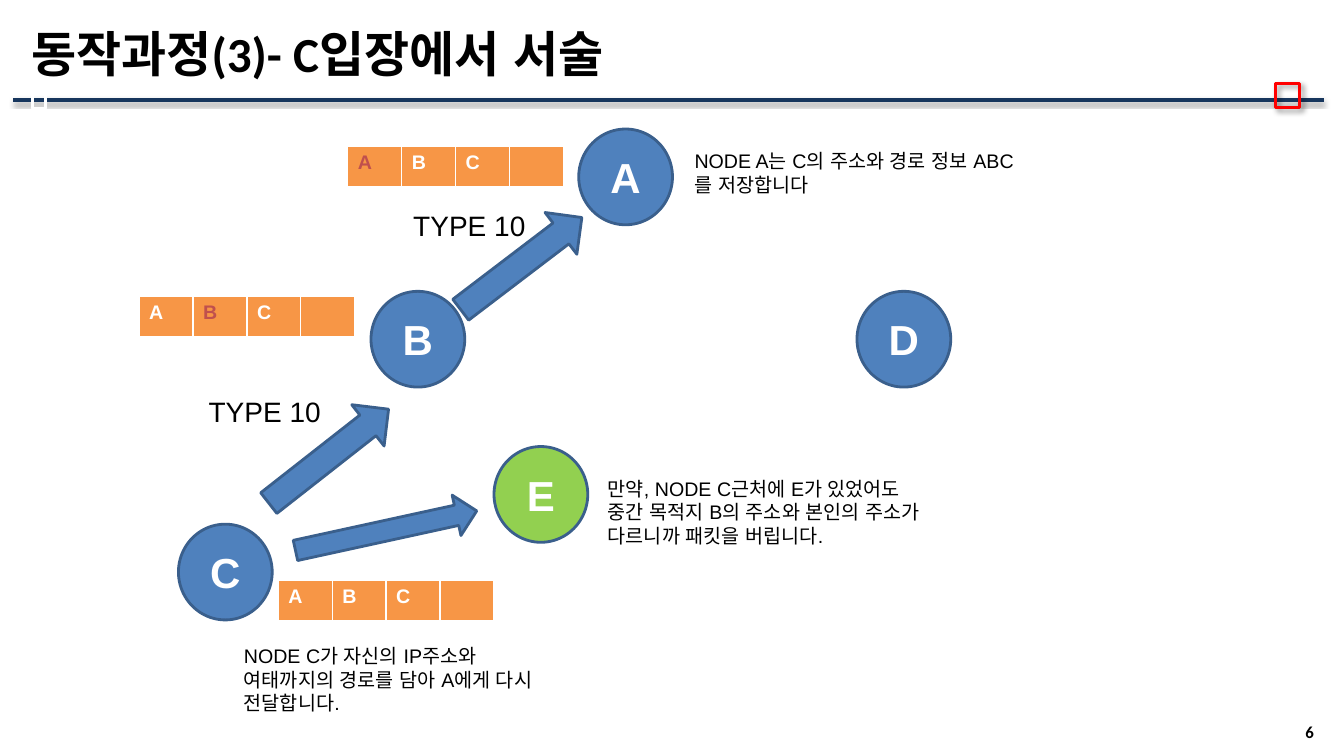
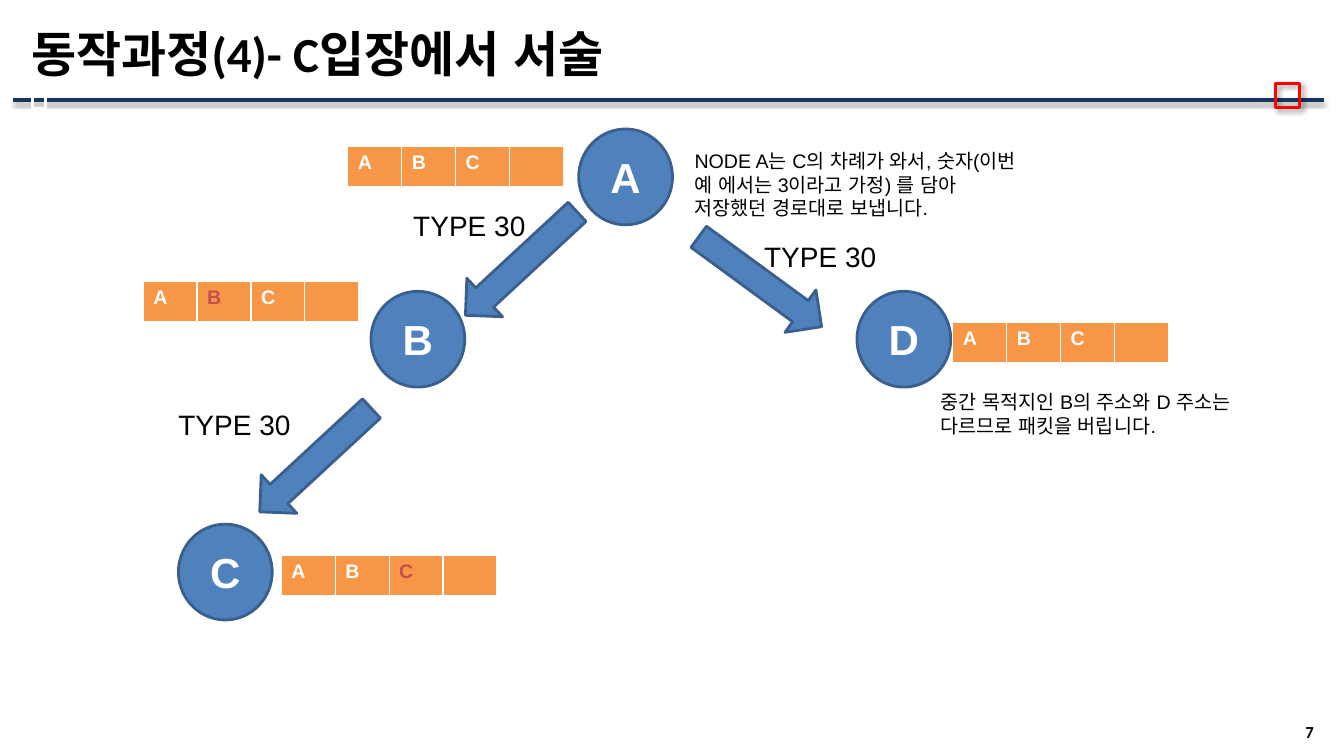
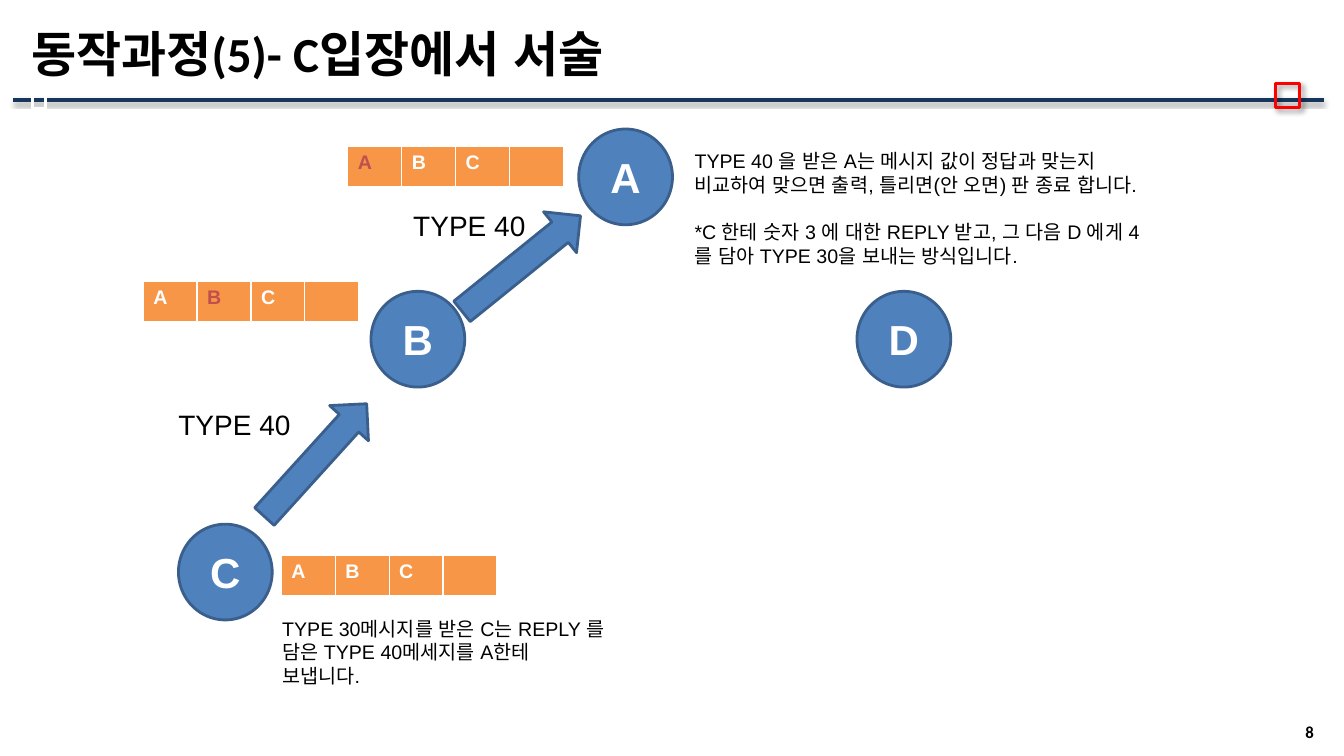
from lxml.etree import SubElement
from pptx import Presentation
from pptx.dml.color import RGBColor
from pptx.enum.lang import MSO_LANGUAGE_ID as Language
from pptx.enum.shapes import MSO_CONNECTOR as Connector, MSO_SHAPE as Preset
from pptx.enum.text import MSO_ANCHOR as Anchor, PP_ALIGN as Align
from pptx.oxml import parse_xml
from pptx.oxml.ns import nsdecls, qn
from pptx.util import Inches, Pt

COLORS = {
    "text": "000000",
    "white": "FFFFFF",
    "rule": "17365D",
    "marker": "FF0000",
    "node": "4F81BD",
    "outline": "3A5F8C",
    "outsider": "92D050",
    "cell": "F79646",
    "current": "C0504D",
}
BODY_FONT, HEADING_FONT = "Arial", "Calibri"

# Places used on every slide
NODE_SIZE = (0.93, 0.95)
NODES = {"A": (5.74, 1.28), "C": (1.77, 5.2), "B": (3.68, 2.89), "D": (8.5, 2.89)}
ARROW_SIZE = (0.52, 1.51)
UPPER_ARROW = (4.91, 1.86)
LOWER_ARROW = (2.87, 3.81)
UPPER_LABEL = (4, 2.02)
LOWER_LABEL = (1.67, 3.99)
ROUTE_A, ROUTE_B, ROUTE_C = (3.45, 1.45), (1.42, 2.79), (2.79, 5.51)
NOTE_A = (6.79, 1.43)
NOTE_WIDTH = 3.42


def color(name):
    return RGBColor.from_string(COLORS[name])


def box(position, size):
    return [Inches(value) for value in (*position, *size)]


def add_run(paragraph, text, size, color_name="text", bold=False, font=BODY_FONT):
    run = paragraph.add_run()
    run.text = text
    run.font.name = font
    run.font.size = Pt(size)
    run.font.bold = bold
    run.font.color.rgb = color(color_name)
    run.font.language_id = Language.KOREAN


def add_shadow(shape, opacity, blur, distance, angle):
    effects = shape._element.spPr.get_or_add_effectLst() if hasattr(
        shape._element.spPr, "get_or_add_effectLst") else None
    if effects is None:
        effects = SubElement(shape._element.spPr, qn("a:effectLst"))
    effects.append(parse_xml(
        f'<a:outerShdw {nsdecls("a")} blurRad="{Pt(blur)}" dist="{Pt(distance)}" '
        f'dir="{angle * 60000}" rotWithShape="0"><a:srgbClr val="{COLORS["text"]}">'
        f'<a:alpha val="{opacity * 1000}"/></a:srgbClr></a:outerShdw>'))


def add_preset(slide, preset, position, size, fill, line, line_width):
    shape = slide.shapes.add_shape(preset, *box(position, size))
    shape.shadow.inherit = False
    if fill:
        shape.fill.solid()
        shape.fill.fore_color.rgb = color(fill)
    else:
        shape.fill.background()
    shape.line.color.rgb = color(line)
    shape.line.width = Pt(line_width)
    return shape


def add_text(slide, position, size, paragraphs, points, bold=False, font=BODY_FONT,
             align=Align.LEFT, anchor=Anchor.TOP, gap=0):
    frame = slide.shapes.add_textbox(*box(position, size)).text_frame
    frame.word_wrap = True
    frame.vertical_anchor = anchor
    for index, text in enumerate(paragraphs):
        paragraph = frame.add_paragraph() if index else frame.paragraphs[0]
        paragraph.alignment = align
        if index:
            paragraph.space_before = Pt(gap)
        add_run(paragraph, text, points, bold=bold, font=font)


# Elements of the network diagram
def add_node(slide, letter, position, fill="node"):
    circle = add_preset(slide, Preset.OVAL, position, NODE_SIZE, fill, "outline", 2)
    circle.text_frame.vertical_anchor = Anchor.MIDDLE
    paragraph = circle.text_frame.paragraphs[0]
    paragraph.alignment = Align.CENTER
    add_run(paragraph, letter, 30, "white", bold=True)


def add_arrow(slide, position, rotation, preset=Preset.DOWN_ARROW, size=ARROW_SIZE):
    arrow = add_preset(slide, preset, position, size, "node", "outline", 2)
    arrow.rotation = rotation


def add_label(slide, text, position):
    add_text(slide, position, (1.59, 0.44), [text], 20)


def add_note(slide, position, *paragraphs, width=NOTE_WIDTH, height=0.81):
    add_text(slide, position, (width, height), paragraphs, 14, gap=17)


def add_cell_borders(cell):
    properties = cell._tc.get_or_add_tcPr()
    for index, (side, width) in enumerate((("L", 1), ("R", 1), ("T", 1), ("B", 3))):
        properties.insert(index, parse_xml(
            f'<a:ln{side} {nsdecls("a")} w="{Pt(width)}"><a:solidFill>'
            f'<a:srgbClr val="{COLORS["white"]}"/></a:solidFill></a:ln{side}>'))


def add_route(slide, position, current=None):
    table = slide.shapes.add_table(1, 4, *box(position, (2.14, 0.41))).table
    table.first_row = table.horz_banding = False
    for cell, letter in zip(table.iter_cells(), ("A", "B", "C", None)):
        cell.fill.solid()
        cell.fill.fore_color.rgb = color("cell")
        add_cell_borders(cell)
        if letter:
            add_run(cell.text_frame.paragraphs[0], letter, 14,
                    "current" if letter == current else "white", bold=True)


# Frame shared by all slides: rule, markers, number, title and four nodes
def add_base_slide(presentation, step, number):
    slide = presentation.slides.add_slide(presentation.slide_layouts[6])
    rule = slide.shapes.add_connector(
        Connector.STRAIGHT, Inches(0.13), Inches(0.99), Inches(13.13), Inches(0.99))
    rule.line.color.rgb = color("rule")
    rule.line.width = Pt(3)
    add_shadow(rule, 35, 3.1, 1.8, 90)
    marker = add_preset(slide, Preset.RECTANGLE, (12.65, 0.83), (0.24, 0.24),
                        None, "marker", 2.25)
    add_shadow(marker, 40, 4, 3, 45)
    add_preset(slide, Preset.RECTANGLE, (0.32, 0.92), (0.13, 0.16), None, "white", 2.25)
    add_text(slide, (12.18, 7.14), (0.95, 0.24), [str(number)], 12, bold=True,
             font=HEADING_FONT, align=Align.RIGHT, anchor=Anchor.MIDDLE)
    add_text(slide, (0.21, 0.05), (12.92, 0.95), [f"동작과정({step})- C입장에서 서술"], 35,
             bold=True, font=HEADING_FONT, anchor=Anchor.MIDDLE)
    for letter, position in NODES.items():
        add_node(slide, letter, position)
    return slide


def build_path_report(presentation):
    slide = add_base_slide(presentation, 3, 6)
    add_node(slide, "E", (4.9, 4.43), "outsider")
    add_arrow(slide, UPPER_ARROW, 232.7)
    add_arrow(slide, (3, 3.77), 231.9)
    add_arrow(slide, (2.91, 5.06), 347.7, Preset.RIGHT_ARROW, (1.84, 0.41))
    for position in (UPPER_LABEL, (1.97, 3.86)):
        add_label(slide, "TYPE 10", position)
    add_route(slide, ROUTE_A, "A")
    add_route(slide, (1.38, 2.94), "B")
    add_route(slide, (2.76, 5.76))
    add_note(slide, (2.32, 6.34),
             "NODE C가 자신의 IP주소와 여태까지의 경로를 담아 A에게 다시 전달합니다.")
    add_note(slide, NOTE_A, "NODE A는 C의 주소와 경로 정보 ABC를 저장합니다", height=0.57)
    add_note(slide, (5.93, 4.68), "만약, NODE C근처에 E가 있었어도 중간 목적지 B의 주소와 "
             "본인의 주소가 다르니까 패킷을 버립니다.")


def build_number_sending(presentation):
    slide = add_base_slide(presentation, 4, 7)
    add_arrow(slide, UPPER_ARROW, 47.2)
    add_arrow(slide, LOWER_ARROW, 47.2)
    add_arrow(slide, (7.28, 2.04), 306.2)
    for position in (UPPER_LABEL, LOWER_LABEL, (7.48, 2.33)):
        add_label(slide, "TYPE 30", position)
    add_route(slide, ROUTE_A)
    add_route(slide, ROUTE_B, "B")
    add_route(slide, ROUTE_C, "C")
    add_route(slide, (9.45, 3.2))
    add_note(slide, NOTE_A, "NODE A는 C의 차례가 와서, 숫자(이번 예 에서는 3이라고 가정) 를 "
             "담아 저장했던 경로대로 보냅니다.")
    add_note(slide, (9.23, 3.82),
             "중간 목적지인 B의 주소와 D 주소는 다르므로 패킷을 버립니다.", height=0.57)


def build_reply(presentation):
    slide = add_base_slide(presentation, 5, 8)
    add_arrow(slide, UPPER_ARROW, 231.1)
    add_arrow(slide, LOWER_ARROW, 222.2)
    for position in (UPPER_LABEL, LOWER_LABEL):
        add_label(slide, "TYPE 40", position)
    add_route(slide, ROUTE_A, "A")
    add_route(slide, ROUTE_B, "B")
    add_route(slide, ROUTE_C)
    add_note(slide, NOTE_A,
             "TYPE 40 을 받은 A는 메시지 값이 정답과 맞는지 비교하여 맞으면 출력, "
             "틀리면(안 오면) 판 종료 합니다.",
             "*C 한테 숫자 3 에 대한 REPLY 받고, 그 다음 D 에게 4를 담아 "
             "TYPE 30을 보내는 방식입니다.",
             width=4.68, height=1.51)
    add_note(slide, (2.7, 6.07),
             "TYPE 30메시지를 받은 C는 REPLY 를 담은 TYPE 40메세지를 A한테 보냅니다.")


def main():
    presentation = Presentation()
    presentation.slide_width = Inches(13.33)
    presentation.slide_height = Inches(7.5)
    build_path_report(presentation)
    build_number_sending(presentation)
    build_reply(presentation)
    presentation.save("out.pptx")


if __name__ == "__main__":
    main()
